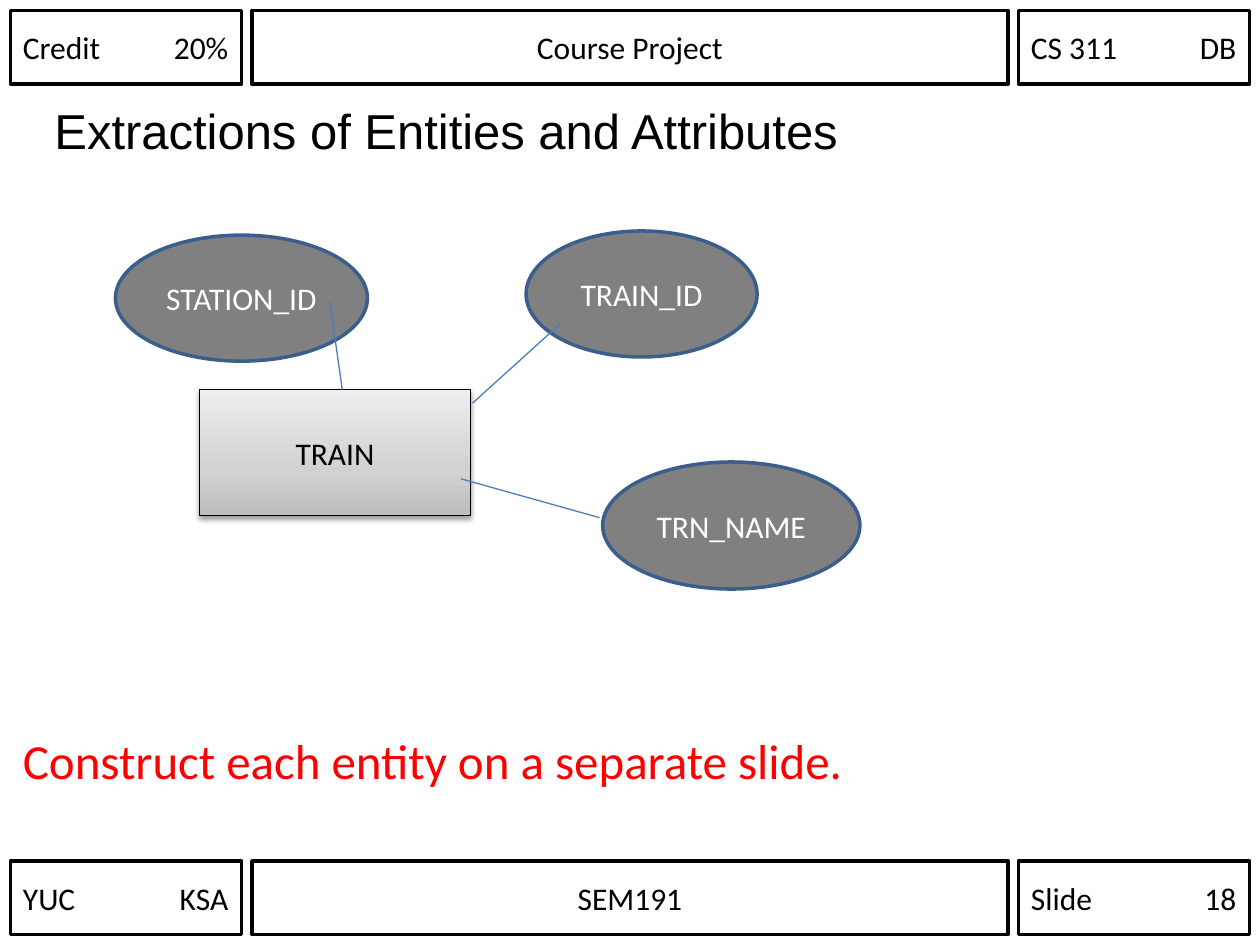
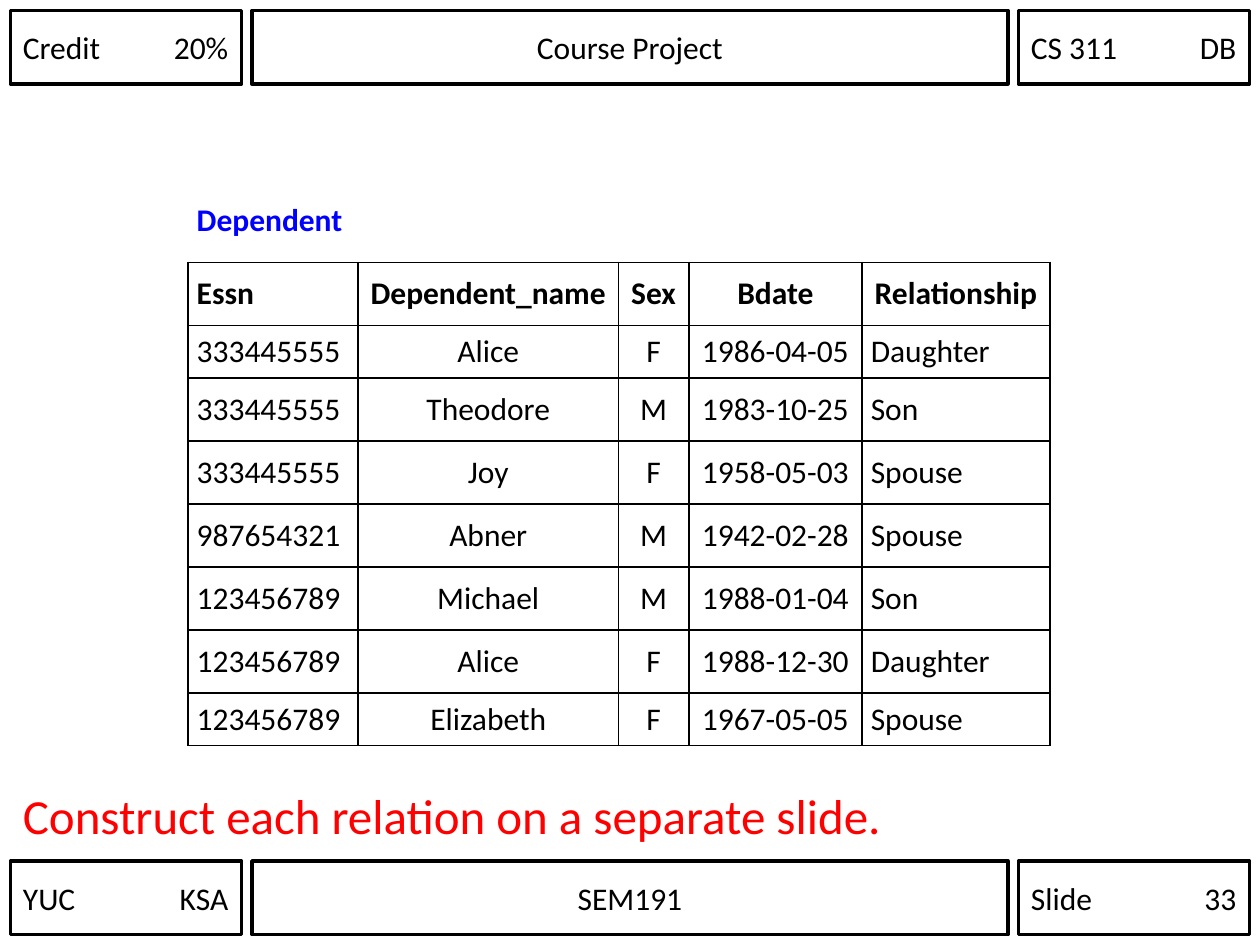
from dataclasses import dataclass
from typing import Any

from lxml import etree
from pptx import Presentation
from pptx import util as u
from pptx.dml import color
from pptx.enum import shapes, text
from pptx.oxml import ns

COLS, ROWS = 120, 90
WIDTH, HEIGHT = u.Inches(10), u.Inches(7.5)
BLACK, WHITE, RED, BLUE = "000000", "FFFFFF", "FF0000", "0000FF"
GREY, OVAL_LINE, LINK = "808080", "3A5F8C", "4B7EBC"
HEADER_ROW, FOOTER_ROW = 1, 82
LEFT, CENTER = text.PP_ALIGN.LEFT, text.PP_ALIGN.CENTER
TAB = u.Inches(1.63)
TABLE_COLS = (16.2, 24.8, 6.7, 16.5, 17.9)
TABLE_ROWS = (8, 6, 5, 6, 6, 6, 6, 6, 5)
TABLE_ALIGN = (LEFT, CENTER, CENTER, CENTER, LEFT)
DEPENDENTS = (
    ("Essn", "Dependent_name", "Sex", "Bdate", "Relationship"),
    ("333445555", "Alice", "F", "1986-04-05", "Daughter"),
    ("333445555", "Theodore", "M", "1983-10-25", "Son"),
    ("333445555", "Joy", "F", "1958-05-03", "Spouse"),
    ("987654321", "Abner", "M", "1942-02-28", "Spouse"),
    ("123456789", "Michael", "M", "1988-01-04", "Son"),
    ("123456789", "Alice", "F", "1988-12-30", "Daughter"),
    ("123456789", "Elizabeth", "F", "1967-05-05", "Spouse"),
)


@dataclass(frozen=True)
class Box:
    col: float
    row: float
    cols: float
    rows: float

    def place(self) -> tuple[int, int, int, int]:
        return x(self.col), y(self.row), x(self.cols), y(self.rows)


@dataclass(frozen=True)
class Attribute:
    name: str
    box: Box
    start: tuple[float, float]
    end: tuple[float, float]


ENTITY_BOX = Box(19, 37.1, 25.8, 12)
ATTRIBUTES = (
    Attribute("STATION_ID", Box(11, 22.4, 24, 12), (31.4, 28.7), (32.6, 37.1)),
    Attribute("TRAIN_ID", Box(50.1, 22, 22, 12), (45, 38.4), (53.4, 30.8)),
    Attribute("TRN_NAME", Box(57.4, 44, 24.5, 12.1), (43.9, 45.6), (57.1, 49.3)),
)


def x(cols: float) -> int:
    return round(WIDTH * cols / COLS)


def y(rows: float) -> int:
    return round(HEIGHT * rows / ROWS)


def rgb(value: str) -> color.RGBColor:
    return color.RGBColor.from_string(value)


def add(parent: Any, tag: str, **attrs: Any) -> Any:
    return etree.SubElement(parent, ns.qn(tag), {k: str(v) for k, v in attrs.items()})


def write(tf: Any, words: str, size: float = 18, font: str = "Calibri",
          ink: str = BLACK, bold: bool = False, align: Any = LEFT) -> Any:
    p = tf.paragraphs[0]
    p.alignment = align
    r = p.add_run()
    r.text = words
    r.font.size, r.font.name, r.font.bold = u.Pt(size), font, bold
    r.font.color.rgb = rgb(ink)
    return p


def draw_shape(s: Any, kind: Any, box: Box, line: str, weight: float = 2,
               fill: str | None = None) -> Any:
    sp = s.shapes.add_shape(kind, *box.place())
    sp.shadow.inherit = False
    if fill:
        sp.fill.solid()
        sp.fill.fore_color.rgb = rgb(fill)
    else:
        sp.fill.background()
    sp.line.color.rgb = rgb(line)
    sp.line.width = u.Pt(weight)
    sp.text_frame.vertical_anchor = text.MSO_ANCHOR.MIDDLE
    return sp


def draw_band(s: Any, row: float, left: str, middle: str, right: str) -> None:
    cells = ((left, 1, 22, LEFT), (middle, 24, 72, CENTER), (right, 97, 22, LEFT))
    for words, col, cols, align in cells:
        sp = draw_shape(s, shapes.MSO_SHAPE.RECTANGLE, Box(col, row, cols, 7), BLACK)
        p = write(sp.text_frame, words, align=align)
        if "\t" in words:
            tabs = add(p._p.get_or_add_pPr(), "a:tabLst")
            add(tabs, "a:tab", pos=TAB, algn="r")


def add_page(prs: Any, number: int) -> Any:
    s = prs.slides.add_slide(prs.slide_layouts[6])
    draw_band(s, HEADER_ROW, "Credit\t20%", "Course Project", "CS 311\tDB")
    draw_band(s, FOOTER_ROW, "YUC\tKSA", "SEM191", f"Slide\t{number}")
    return s


def draw_text(s: Any, box: Box, words: str, **style: Any) -> Any:
    tf = s.shapes.add_textbox(*box.place()).text_frame
    tf.word_wrap = True
    return write(tf, words, size=28, **style)


def draw_note(s: Any, row: float, words: str) -> None:
    draw_text(s, Box(1, row, 118, 6.9), words, ink=RED)


def draw_entity(s: Any, name: str, box: Box) -> None:
    sp = draw_shape(s, shapes.MSO_SHAPE.RECTANGLE, box, BLACK, 0.75)
    sp.fill.gradient()
    sp.fill.gradient_angle = 90
    stops = sp.element.spPr.find(ns.qn("a:gradFill")).find(ns.qn("a:gsLst"))
    for old in list(stops):
        stops.remove(old)
    for share, shade in ((0, "BDBDBD"), (35, "D1D1D1"), (100, "EEEEEE")):
        add(add(stops, "a:gs", pos=share * 1000), "a:srgbClr", val=shade)
    effects = sp.element.spPr.find(ns.qn("a:effectLst"))
    shadow = add(effects, "a:outerShdw", blurRad=u.Pt(3.1), dist=u.Pt(1.6),
                 dir=5400000, rotWithShape=0)
    add(add(shadow, "a:srgbClr", val=BLACK), "a:alpha", val=38000)
    write(sp.text_frame, name, align=CENTER)


def draw_attribute(s: Any, item: Attribute) -> None:
    sp = draw_shape(s, shapes.MSO_SHAPE.OVAL, item.box, OVAL_LINE, fill=GREY)
    write(sp.text_frame, item.name, ink=WHITE, align=CENTER)


def draw_link(s: Any, item: Attribute) -> None:
    (c1, r1), (c2, r2) = item.start, item.end
    link = s.shapes.add_connector(shapes.MSO_CONNECTOR.STRAIGHT, x(c1), y(r1), x(c2), y(r2))
    link.line.color.rgb = rgb(LINK)
    link.line.width = u.Pt(0.75)
    add(link._element.spPr, "a:effectLst")


def style_cell(cell: Any, edges: str) -> None:
    cell.margin_left = cell.margin_right = u.Inches(0.07)
    cell.margin_top = cell.margin_bottom = 0
    cell.vertical_anchor = text.MSO_ANCHOR.MIDDLE
    tc_pr = cell._tc.get_or_add_tcPr()
    for edge in "LRTB":
        ln = add(tc_pr, f"a:ln{edge}", w=u.Pt(1))
        if edge in edges:
            add(add(ln, "a:solidFill"), "a:srgbClr", val=BLACK)
        else:
            add(ln, "a:noFill")
    cell.fill.background()


def draw_relation(s: Any, name: str, records: tuple) -> None:
    box = Box(17.9, 17, sum(TABLE_COLS), sum(TABLE_ROWS))
    table = s.shapes.add_table(len(TABLE_ROWS), len(TABLE_COLS), *box.place()).table
    table.first_row = table.horz_banding = False
    for column, cols in zip(table.columns, TABLE_COLS):
        column.width = x(cols)
    for line, rows in zip(table.rows, TABLE_ROWS):
        line.height = y(rows)
    for i in range(len(TABLE_COLS)):
        style_cell(table.cell(0, i), "B")
    table.cell(0, 0).merge(table.cell(0, len(TABLE_COLS) - 1))
    write(table.cell(0, 0).text_frame, name, ink=BLUE, bold=True)
    for j, record in enumerate(records, 1):
        heading = j == 1
        for i, words in enumerate(record):
            cell = table.cell(j, i)
            style_cell(cell, "LRTB")
            align = CENTER if heading and i else TABLE_ALIGN[i]
            write(cell.text_frame, words, bold=heading, align=align)


def build_entity_slide(prs: Any) -> None:
    s = add_page(prs, 18)
    p = draw_text(s, Box(4, 9, 112, 9), "Extractions of Entities and Attributes", font="Arial")
    p.space_before = u.Pt(5.6)
    draw_note(s, 69, "Construct each entity on a separate slide.")
    draw_entity(s, "TRAIN", ENTITY_BOX)
    for item in ATTRIBUTES:
        draw_attribute(s, item)
    for item in ATTRIBUTES:
        draw_link(s, item)


def build_relation_slide(prs: Any) -> None:
    s = add_page(prs, 33)
    draw_relation(s, "Dependent", DEPENDENTS)
    draw_note(s, 74.2, "Construct each relation on a separate slide.")


def main() -> None:
    prs = Presentation()
    prs.slide_width, prs.slide_height = WIDTH, HEIGHT
    build_entity_slide(prs)
    build_relation_slide(prs)
    prs.save("out.pptx")


if __name__ == "__main__":
    main()
